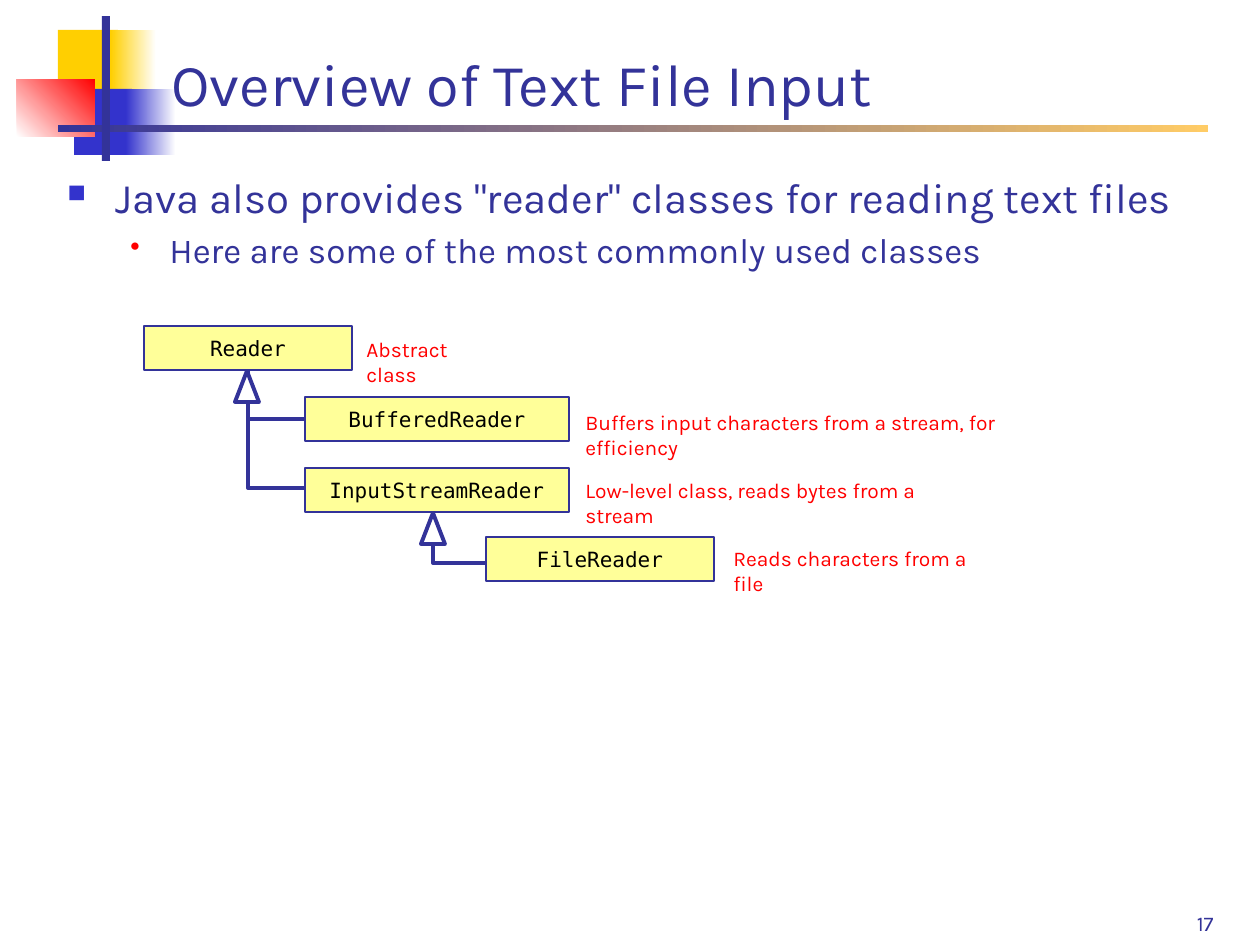
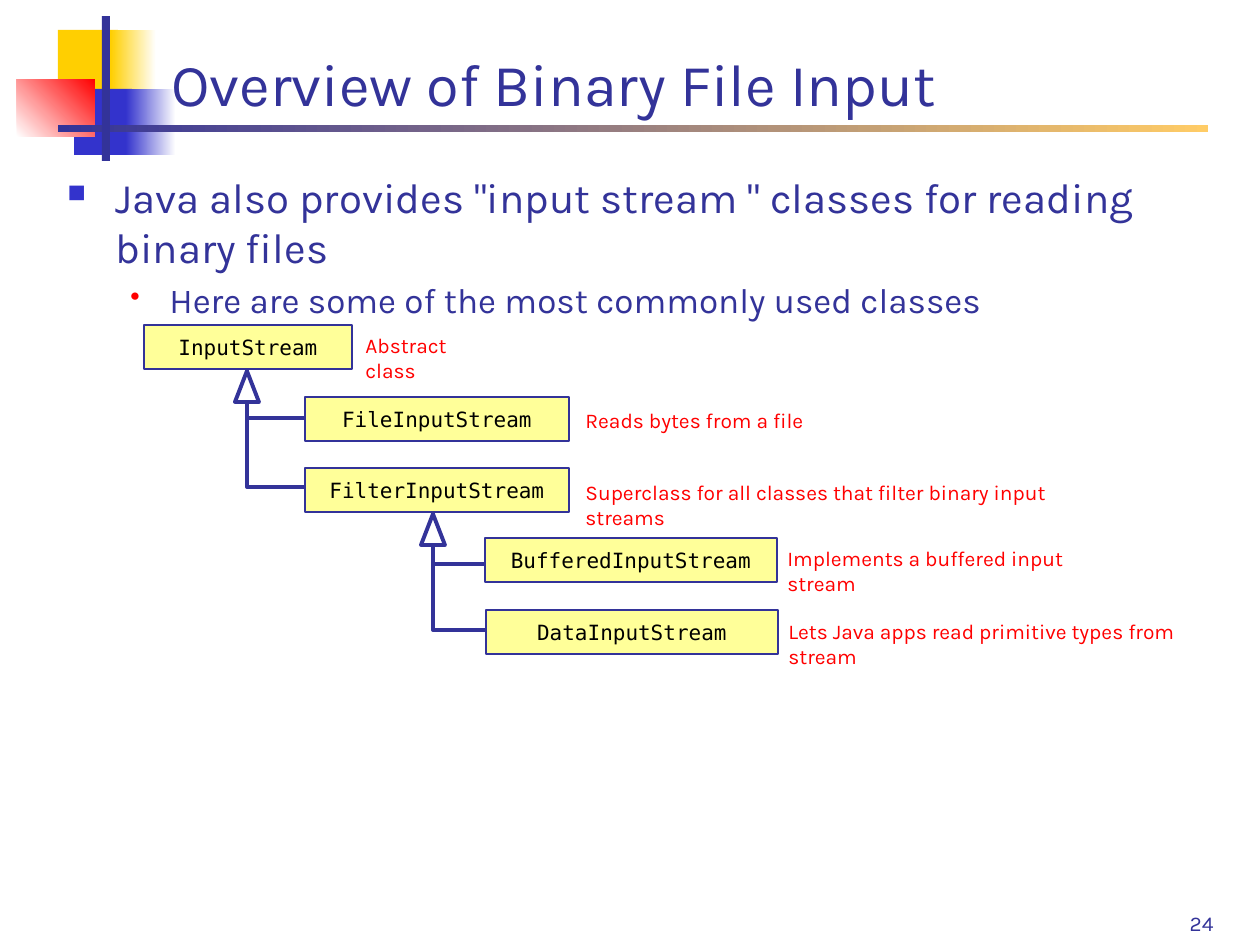
from lxml.etree import SubElement
from pptx import Presentation
from pptx.dml.color import RGBColor
from pptx.enum.shapes import MSO_CONNECTOR, MSO_SHAPE
from pptx.enum.text import MSO_ANCHOR, PP_ALIGN
from pptx.oxml.ns import qn
from pptx.util import Emu, Pt

COLORS = {"navy": "333399", "blue": "3333CC", "yellow": "FFCF01", "red": "FF0000",
          "gold": "FFCC66", "cream": "FFFF99", "white": "FFFFFF", "black": "000000"}
FORMATS = {
    "title": {"name": "Karla", "size": Pt(34), "color": "navy"},
    "point": {"name": "Karla", "size": Pt(24), "color": "navy"},
    "subpoint": {"name": "Karla", "size": Pt(20), "color": "navy"},
    "number": {"name": "Karla", "size": Pt(12), "color": "navy"},
    "note": {"name": "Karla", "size": Pt(12), "color": "red"},
    "class": {"name": "DejaVu Sans Mono", "size": Pt(12), "color": "black"},
}
RGB = {name: RGBColor.from_string(value) for name, value in COLORS.items()}
PX = 914400 / 126

# Corner ornament and title rule: box, colours from start to end, angle
ORNAMENT = [
    ((58, 30, 60, 66), ["yellow"], 0),
    ((111, 30, 45, 66), ["yellow", "white"], 0),
    ((74, 89, 58, 66), ["blue"], 0),
    ((126, 89, 50, 66), ["blue", "white"], 0),
    ((17, 79, 78, 58), ["white", "red"], 45),
    ((58, 125, 1150, 7), ["navy", "gold"], 0),
    ((102, 16, 8, 145), ["navy"], 0),
]
# Body levels: format, left margin, hanging indent, space before, bullet, its colour and size
LEVELS = [("point", 48, 48, 40000, "■", "blue", 60000),
          ("subpoint", 102, 39, 20000, "•", "red", 80000)]
BOX_H, NOTE_H, BRANCH_W = 44, 38, 186

SLIDES = [
    {"title": "Overview of Text File Input", "number": "17",
     "body": ['Java also provides "reader" classes for reading text files',
              "Here are some of the most commonly used classes"],
     # class name, box left/top/width, note, note left/top/width
     "classes": [
         ("Reader", (144, 326, 208), "Abstract class", (354, 330, 154)),
         ("BufferedReader", (305, 397, 264),
          "Buffers input characters from a stream, for efficiency", (573, 403, 522)),
         ("InputStreamReader", (305, 468, 264),
          "Low-level class, reads bytes from a stream", (573, 471, 418)),
         ("FileReader", (486, 537, 228), "Reads characters from a file", (721, 539, 287))],
     # trunk x, branch y, height
     "branches": [(248, 419, 77), (248, 488, 77), (433, 563, 58)],
     "heads": [(235, 371), (421, 513)]},
    {"title": "Overview of Binary File Input", "number": "24",
     "body": ['Java also provides "input stream " classes for reading binary files',
              "Here are some of the most commonly used classes"],
     "classes": [
         ("InputStream", (144, 325, 208), "Abstract class", (353, 326, 153)),
         ("FileInputStream", (305, 397, 264), "Reads bytes from a file", (573, 401, 250)),
         ("FilterInputStream", (305, 468, 264),
          "Superclass for all classes that filter binary input streams", (573, 473, 548)),
         ("BufferedInputStream", (485, 538, 292),
          "Implements a buffered input stream", (775, 539, 365)),
         ("DataInputStream", (486, 610, 292),
          "Lets Java apps read primitive types from stream", (776, 612, 475))],
     "branches": [(247, 418, 77), (247, 487, 77), (433, 564, 58), (433, 630, 77)],
     "heads": [(235, 371), (421, 514)]},
]


def add_block(s, kind, box, fills, angle=0, line=None):
    """Add a preset shape with a solid or two-colour fill and an optional outline."""
    sp = s.shapes.add_shape(kind, *[Emu(round(v * PX)) for v in box])
    sp.shadow.inherit = False
    if len(fills) == 1:
        sp.fill.solid()
        sp.fill.fore_color.rgb = RGB[fills[0]]
    else:
        sp.fill.gradient()
        sp.fill.gradient_angle = angle
        for stop, color in zip(sp.fill.gradient_stops, fills):
            stop.color.rgb = RGB[color]
    if line:
        sp.line.color.rgb = RGB["navy"]
        sp.line.width = Pt(line)
    else:
        sp.line.fill.background()
    return sp


def add_text(s, target, lines, formats, anchor=MSO_ANCHOR.TOP, align=PP_ALIGN.LEFT):
    """Write paragraphs into a shape, or into a new text box when given a box."""
    if isinstance(target, tuple):
        target = s.shapes.add_textbox(*[Emu(round(v * PX)) for v in target])
    tf = target.text_frame
    tf.word_wrap = True
    tf.vertical_anchor = anchor
    for i, (text, style) in enumerate(zip(lines, formats)):
        p = tf.add_paragraph() if i else tf.paragraphs[0]
        p.alignment = align
        r = p.add_run()
        r.text = text
        for key, value in FORMATS[style].items():
            if key == "color":
                r.font.color.rgb = RGB[value]
            else:
                setattr(r.font, key, value)
    return tf


prs = Presentation()
prs.slide_width, prs.slide_height = Emu(9144000), Emu(6858000)

for page in SLIDES:
    s = prs.slides.add_slide(prs.slide_layouts[6])

    # Ornament, slide number and title
    for box, fills, angle in ORNAMENT:
        add_block(s, MSO_SHAPE.RECTANGLE, box, fills, angle)
    add_text(s, (827, 879, 399, 63), [page["number"]], ["number"],
             MSO_ANCHOR.BOTTOM, PP_ALIGN.RIGHT)
    add_text(s, (159, 29, 1074, 96), [page["title"]], ["title"], MSO_ANCHOR.BOTTOM)

    # Bulleted body
    tf = add_text(s, (55, 165, 1169, 680), page["body"], [level[0] for level in LEVELS])
    for p, (_, margin, hang, before, bullet, color, size) in zip(tf.paragraphs, LEVELS):
        pPr = p._p.get_or_add_pPr()
        pPr.set("marL", str(round(margin * PX)))
        pPr.set("indent", str(round(-hang * PX)))
        SubElement(SubElement(pPr, qn("a:spcBef")), qn("a:spcPct"), val=str(before))
        SubElement(SubElement(pPr, qn("a:buClr")), qn("a:srgbClr"), val=COLORS[color])
        SubElement(pPr, qn("a:buSzPct"), val=str(size))
        SubElement(pPr, qn("a:buChar"), char=bullet)

    # Inheritance branches, down the trunk and then across
    for x, y, height in page["branches"]:
        ends = [Emu(round(v * PX)) for v in (x, y - height, x + BRANCH_W, y)]
        c = s.shapes.add_connector(MSO_CONNECTOR.ELBOW, *ends)
        c.line.color.rgb = RGB["navy"]
        c.line.width = Pt(2.25)
        spPr = c._element.spPr
        SubElement(spPr, qn("a:effectLst"))
        adjustments = spPr.find(qn("a:prstGeom")).find(qn("a:avLst"))
        SubElement(adjustments, qn("a:gd"), name="adj1", fmla="val 0")

    # Class boxes, arrowheads and notes
    for name, (x, y, w), _, _ in page["classes"]:
        sp = add_block(s, MSO_SHAPE.RECTANGLE, (x, y, w, BOX_H), ["cream"], line=0.75)
        add_text(s, sp, [name], ["class"], MSO_ANCHOR.MIDDLE, PP_ALIGN.CENTER)
    for x, y in page["heads"]:
        add_block(s, MSO_SHAPE.ISOSCELES_TRIANGLE, (x, y, 24, 31), ["white"], line=2.25)
    for _, _, note, (x, y, w) in page["classes"]:
        add_text(s, (x, y, w, NOTE_H), [note], ["note"])

prs.save("out.pptx")
